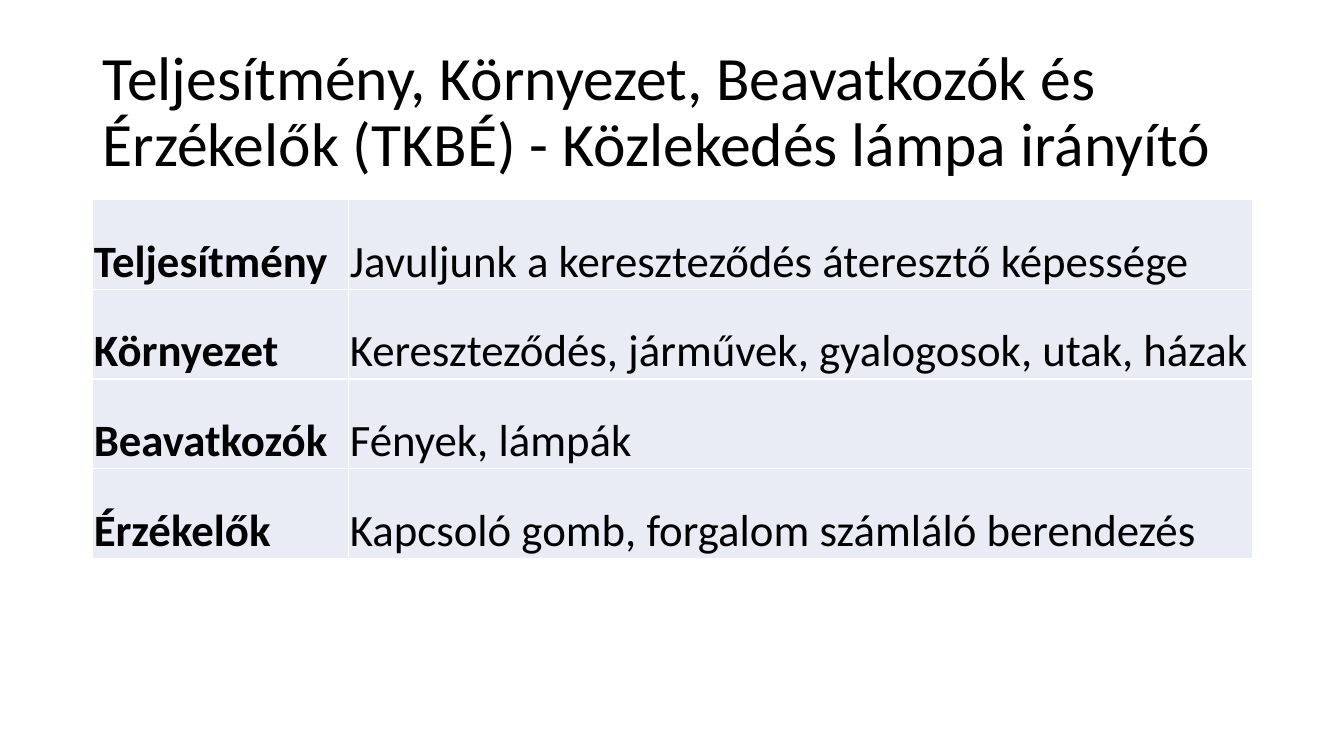
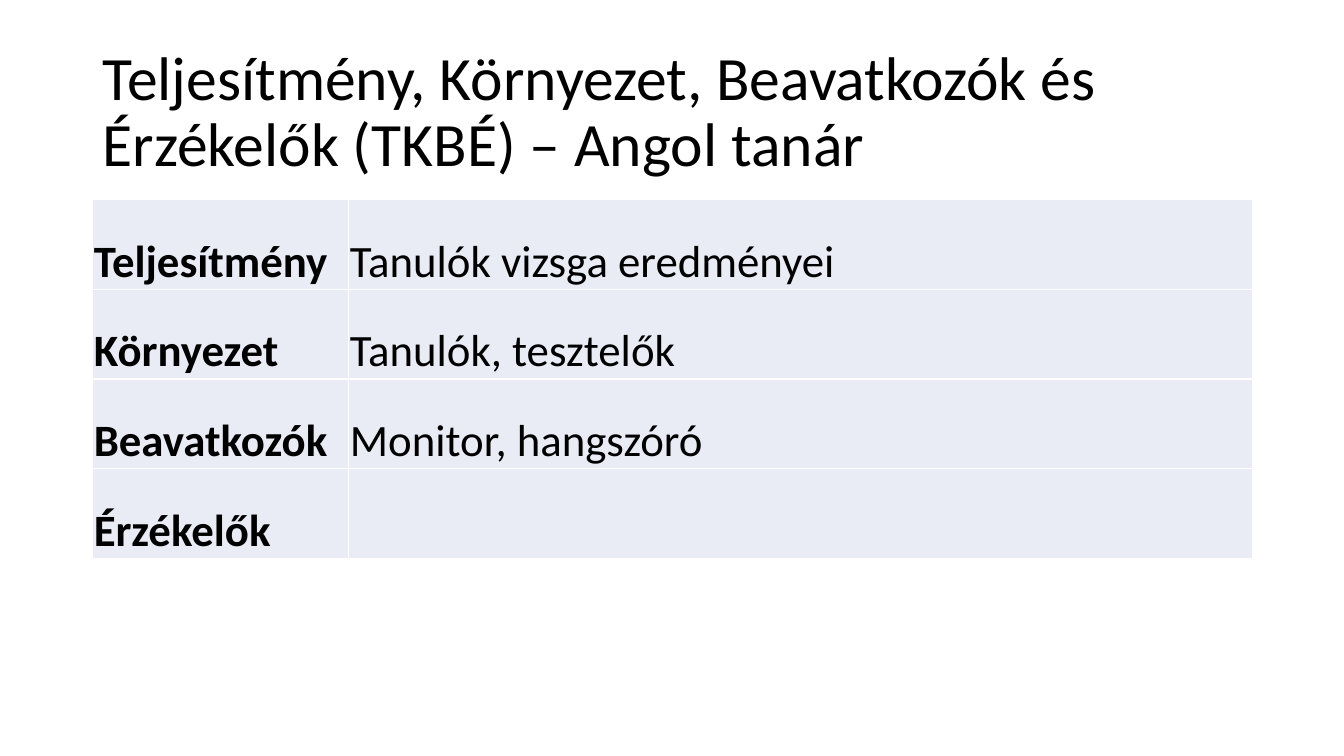
from lxml.etree import SubElement
from pptx import Presentation
from pptx.dml.color import RGBColor
from pptx.enum.text import MSO_ANCHOR
from pptx.oxml.ns import qn
from pptx.util import Inches, Pt

FONT = "Calibri"
INK = "000000"
TINT = "E9EBF5"
RULE = "FFFFFF"
LEFT, WIDTH = 0.92, 11.5
LABEL_WIDTH = 2.54
ROW_HEIGHT = 0.89
LABELS = ["Teljesítmény", "Környezet", "Beavatkozók", "Érzékelők"]
TOPIC = "Teljesítmény, Környezet, Beavatkozók és Érzékelők (TKBÉ) "
AGENTS = [
    ("- Közlekedés lámpa irányító", [
        "Javuljunk a kereszteződés áteresztő képessége",
        "Kereszteződés, járművek, gyalogosok, utak, házak",
        "Fények, lámpák",
        "Kapcsoló gomb, forgalom számláló berendezés",
    ]),
    ("– Angol tanár", [
        "Tanulók vizsga eredményei",
        "Tanulók, tesztelők",
        "Monitor, hangszóró",
        "",
    ]),
]


def color(code):
    return RGBColor.from_string(code)


def add_run(para, text, size, bold=False):
    run = para.add_run()
    run.text = text
    run.font.name = FONT
    run.font.size = Pt(size)
    run.font.bold = bold
    run.font.color.rgb = color(INK)


def add_title(slide, text):
    box = slide.shapes.add_textbox(Inches(LEFT), Inches(0.4), Inches(WIDTH), Inches(1.45))
    frame = box.text_frame
    frame.word_wrap = True
    frame.vertical_anchor = MSO_ANCHOR.MIDDLE
    para = frame.paragraphs[0]
    para.line_spacing = 0.9
    add_run(para, text, 44)


def add_rules(cell):
    props = cell._tc.get_or_add_tcPr()
    for side in ("lnL", "lnR", "lnT", "lnB"):
        line = SubElement(props, qn(f"a:{side}"), w=str(Pt(1)))
        fill = SubElement(line, qn("a:solidFill"))
        SubElement(fill, qn("a:srgbClr"), val=RULE)


def fill_cell(cell, text, bold):
    add_rules(cell)
    cell.fill.solid()
    cell.fill.fore_color.rgb = color(TINT)
    cell.margin_left = cell.margin_right = cell.margin_top = Inches(0.01)
    cell.margin_bottom = 0
    cell.vertical_anchor = MSO_ANCHOR.BOTTOM
    if text:
        add_run(cell.text_frame.paragraphs[0], text, 32, bold)


def add_grid(slide, values):
    count = len(LABELS)
    frame = slide.shapes.add_table(
        count, 2, Inches(LEFT), Inches(1.98), Inches(WIDTH), Inches(ROW_HEIGHT * count)
    )
    table = frame.table
    table.first_row = table.horz_banding = False
    table.columns[0].width = Inches(LABEL_WIDTH)
    table.columns[1].width = Inches(WIDTH - LABEL_WIDTH)
    for row, label, value in zip(table.rows, LABELS, values):
        row.height = Inches(ROW_HEIGHT)
        fill_cell(row.cells[0], label, True)
        fill_cell(row.cells[1], value, False)


def main():
    deck = Presentation()
    deck.slide_width, deck.slide_height = Inches(13.33), Inches(7.5)
    for agent, values in AGENTS:
        slide = deck.slides.add_slide(deck.slide_layouts[6])
        add_title(slide, TOPIC + agent)
        add_grid(slide, values)
    deck.save("out.pptx")


if __name__ == "__main__":
    main()
